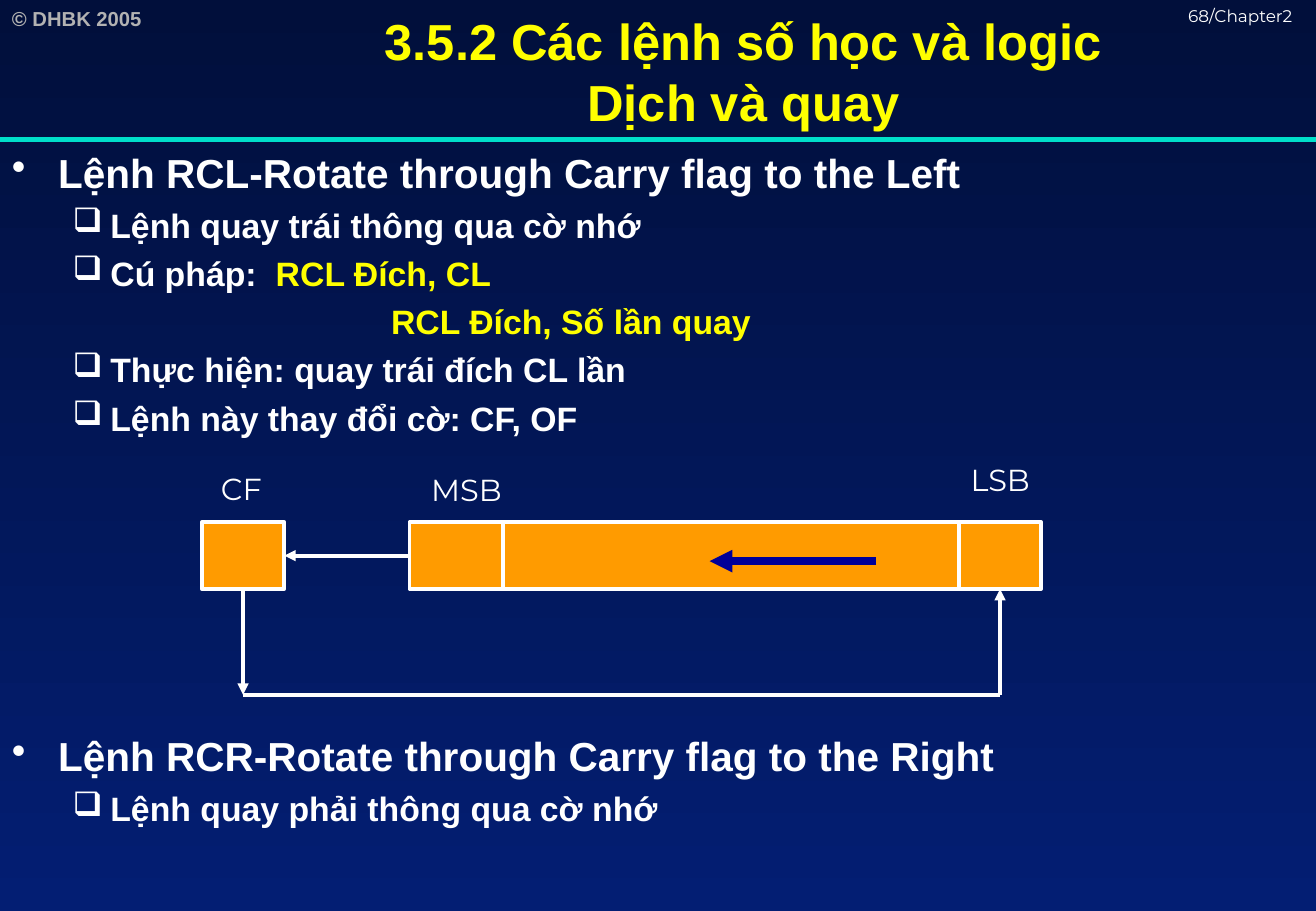
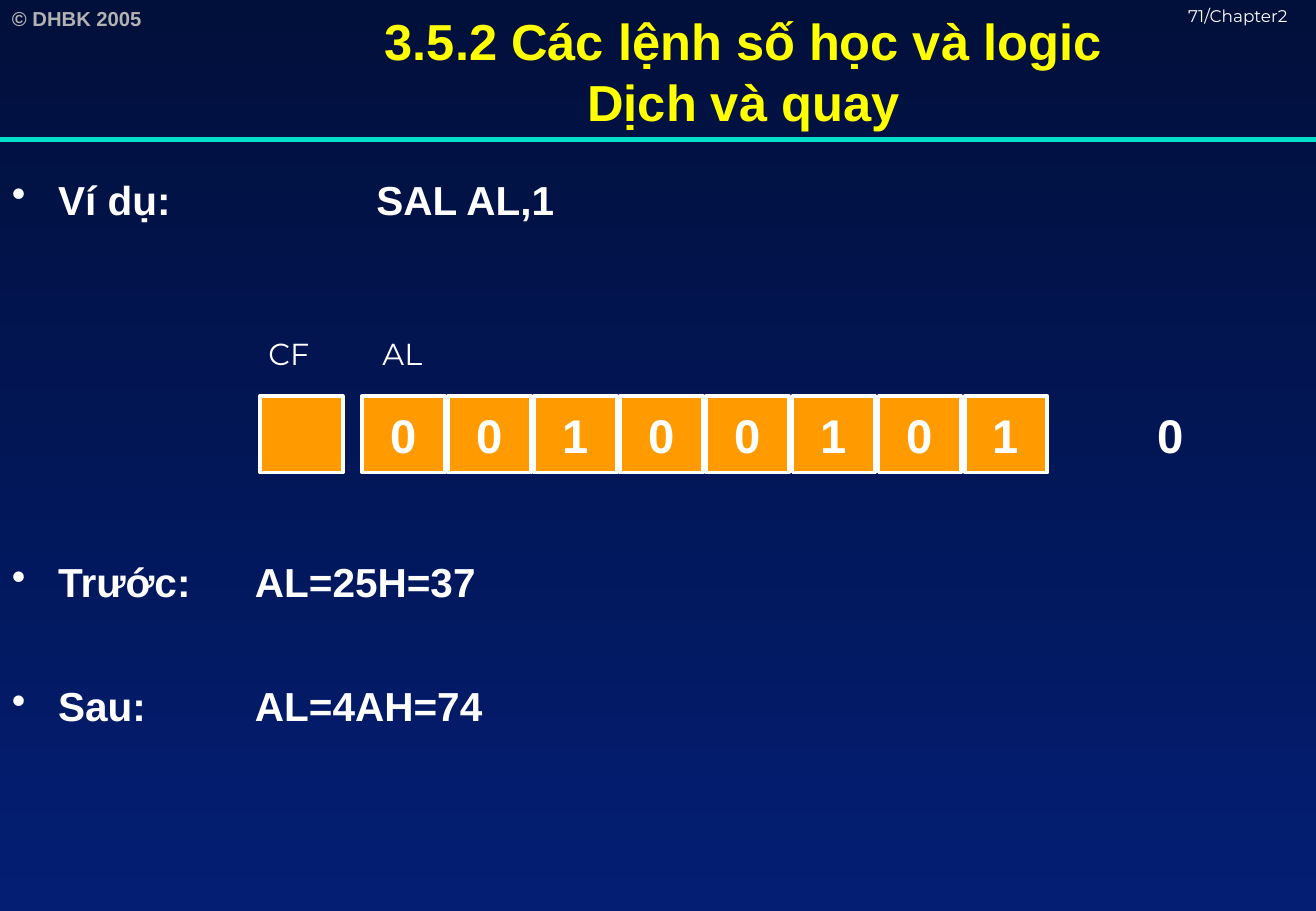
import pptx
import pptx.util
import pptx.dml.color
import pptx.enum.shapes
import pptx.enum.text
import pptx.oxml.ns
from lxml import etree

RGBColor = pptx.dml.color.RGBColor
NIGHT = RGBColor(0x01, 0x0F, 0x3B)
NAVY = RGBColor(0x03, 0x1E, 0x73)
TEAL = RGBColor(0x00, 0xDF, 0xCA)
GRAY = RGBColor(0xB2, 0xB2, 0xB2)
WHITE = RGBColor(0xFF, 0xFF, 0xFF)
YELLOW = RGBColor(0xFF, 0xFF, 0x00)
ORANGE = RGBColor(0xFF, 0x9B, 0x00)
BLUE = RGBColor(0x00, 0x00, 0x99)

RECT = pptx.enum.shapes.MSO_SHAPE.RECTANGLE
STRAIGHT = pptx.enum.shapes.MSO_CONNECTOR.STRAIGHT
CENTER = pptx.enum.text.PP_ALIGN.CENTER
MIDDLE = pptx.enum.text.MSO_ANCHOR.MIDDLE
qn = pptx.oxml.ns.qn

prs = pptx.Presentation()
prs.slide_width = pptx.util.Inches(10.83)
prs.slide_height = pptx.util.Inches(7.5)
COL = prs.slide_width / 100
ROW = prs.slide_height / 100


def write(sp, text, size=18, font="Arial", color=WHITE, bold=True, align=None,
          anchor=None, wrap=True, before=0, left=0, hang=0, bullet=None):
    tf = sp.text_frame
    tf.word_wrap = wrap
    if anchor is not None:
        tf.vertical_anchor = anchor
    p = tf.paragraphs[0] if not tf.paragraphs[0].runs else tf.add_paragraph()
    p.alignment = align
    p.space_before = pptx.util.Pt(before)
    pPr = p._p.get_or_add_pPr()
    pPr.set("marL", str(int(left * COL)))
    pPr.set("indent", str(int(-hang * COL)))
    pPr.set("defTabSz", str(pptx.util.Inches(1)))
    if bullet:
        etree.SubElement(pPr, qn("a:buChar")).set("char", bullet)
    for part, shade in zip(text.split("|"), (color, YELLOW)):
        r = p.add_run()
        r.text = part
        r.font.size = pptx.util.Pt(size)
        r.font.name = font
        r.font.bold = bold
        r.font.color.rgb = shade


def draw(s, kind, x, y, w, h, color=WHITE, weight=2.25, head=False):
    box = [int(v) for v in (x * COL, y * ROW, w * COL, h * ROW)]
    if kind == "text":
        return s.shapes.add_textbox(*box)
    if kind == "rect":
        sp = s.shapes.add_shape(RECT, *box)
        sp.shadow.inherit = False
        sp.fill.solid()
        sp.fill.fore_color.rgb = ORANGE
        sp.text_frame.margin_left = sp.text_frame.margin_right = 0
    else:
        sp = s.shapes.add_connector(STRAIGHT, box[0], box[1],
                                    box[0] + box[2], box[1] + box[3])
    sp.line.color.rgb = color
    sp.line.width = pptx.util.Pt(weight)
    if head:
        etree.SubElement(sp.line._get_or_add_ln(), qn("a:tailEnd")).set("type", "triangle")
    if kind == "line":
        etree.SubElement(sp._element.spPr, qn("a:effectLst"))
    return sp


fill = prs.slide_master.background.fill
fill.gradient()
fill.gradient_angle = 270
for stop, color in zip(fill.gradient_stops, (NIGHT, NAVY)):
    stop.color.rgb = color

MAJOR = dict(size=24, left=3.51, hang=3.51, bullet="•")
MINOR = dict(size=20, left=7.48, hang=2.86, bullet="❑", before=4.6)
LABEL = dict(font="Montserrat", bold=False, wrap=False)

for number in (68, 71):
    s = prs.slides.add_slide(prs.slide_layouts[6])
    write(draw(s, "text", 0, 0, 14.5, 4), "© DHBK 2005", size=12, color=GRAY)
    draw(s, "line", 0, 15.33, 100, 0, color=TEAL, weight=3)
    write(draw(s, "text", 89.38, 0, 10.62, 3.33), f"{number}/Chapter2",
          size=10, font="Montserrat", bold=False)
    title = draw(s, "text", 13, 0, 87, 15.6)
    for text in ("3.5.2 Các lệnh số học và logic", "Dịch và quay"):
        write(title, text, size=30, color=YELLOW, align=CENTER, anchor=MIDDLE)

rotate, example = prs.slides

body = draw(rotate, "text", 0, 15.6, 100, 84.4)
for text, style in (
    ("Lệnh RCL-Rotate through Carry flag to the Left", MAJOR),
    ("Lệnh quay trái thông qua cờ nhớ", MINOR),
    ("Cú pháp:  |RCL Đích, CL", MINOR),
    ("RCL Đích, Số lần quay", dict(size=20, left=28.81, before=4.6, color=YELLOW)),
    ("Thực hiện: quay trái đích CL lần", MINOR),
    ("Lệnh này thay đổi cờ: CF, OF", MINOR),
    ("Lệnh RCR-Rotate through Carry flag to the Right", dict(MAJOR, before=174)),
    ("Lệnh quay phải thông qua cờ nhớ", MINOR),
):
    write(body, text, **style)

top, high = 57.33, 7.33
register = draw(rotate, "rect", 31.12, top, 48, high)
for x in (38.23, 72.85):
    draw(rotate, "line", x, top, 0, high)
carry = draw(rotate, "rect", 15.33, top, 6.28, high)
for text, x, y, w in (("CF", 15.88, 50.93, 5.2), ("MSB", 31.86, 51.07, 8.1),
                      ("LSB", 72.85, 50, 7.4)):
    write(draw(rotate, "text", x, y, w, 5.33), text, **LABEL)

draw(rotate, "line", 66.57, 61.6, -12.65, 0, color=BLUE, weight=4.5, head=True)
carry_x, lsb_x, low = 18.47, 75.99, 76.27
shift = draw(rotate, "line", 31.12, top + high / 2, -9.51, 0, head=True)
shift.begin_connect(register, 1)
shift.end_connect(carry, 3)
down = draw(rotate, "line", carry_x, top + high, 0, low - top - high, head=True)
down.begin_connect(carry, 2)
draw(rotate, "line", carry_x, low, lsb_x - carry_x, 0)
draw(rotate, "line", lsb_x, low, 0, top + high - low, head=True)

for text, y, h in (("Ví dụ:\t\tSAL AL,1", 18.53, 8.4),
                   ("Trước:\tAL=25H=37", 60.53, 12.53),
                   ("Sau:\tAL=4AH=74", 74.13, 12.53)):
    write(draw(example, "text", 0, y, 100, h), text, **MAJOR)

for text, x in (("CF", 19.48), ("AL", 28.16)):
    write(draw(example, "text", x, 36.13, 5.2, 5.33), text, **LABEL)

top, wide, high, pitch = 43.47, 6.28, 8.4, 6.54
draw(example, "rect", 19.76, top, wide, high)
for i, bit in enumerate("00100101"):
    cell = draw(example, "rect", 27.52 + i * pitch, top, wide, high)
    write(cell, bit, size=28, align=CENTER, anchor=MIDDLE)
write(draw(example, "text", 87.07, top, 4.34, high), "0", size=28, anchor=MIDDLE)

prs.save("out.pptx")
